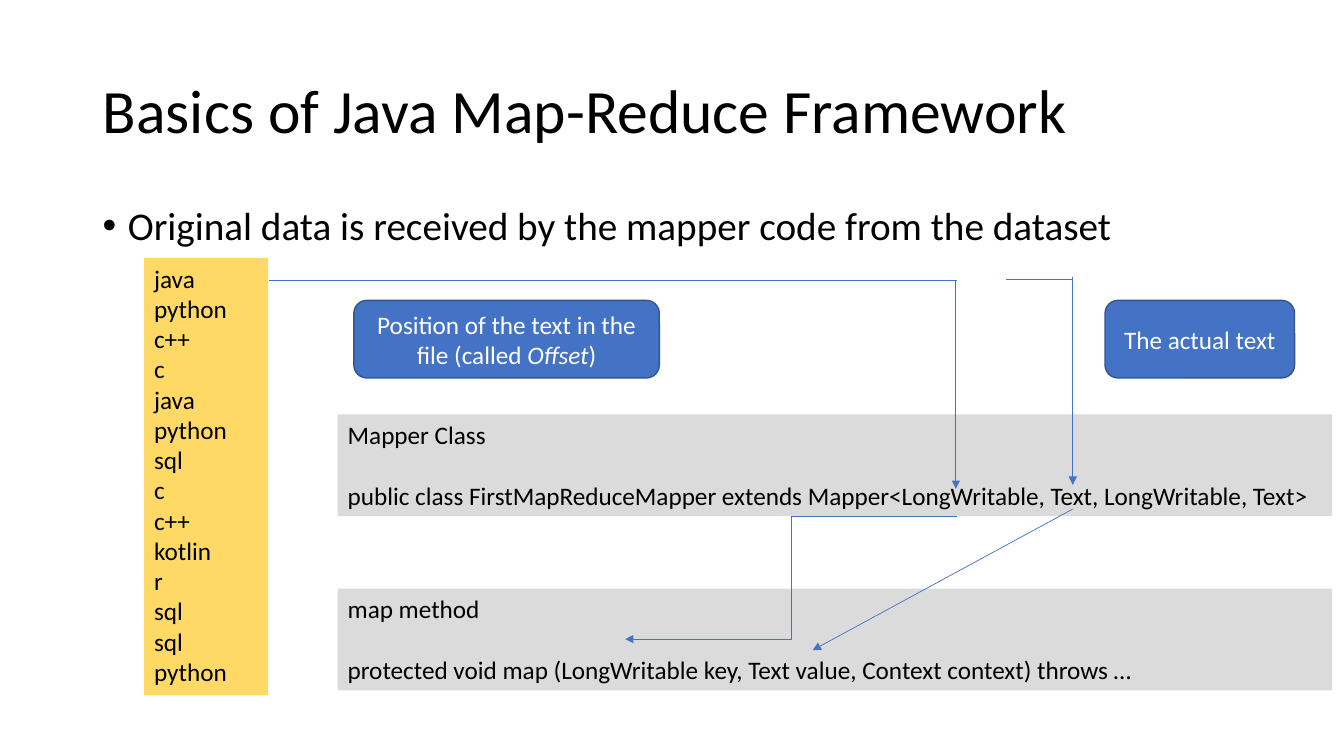
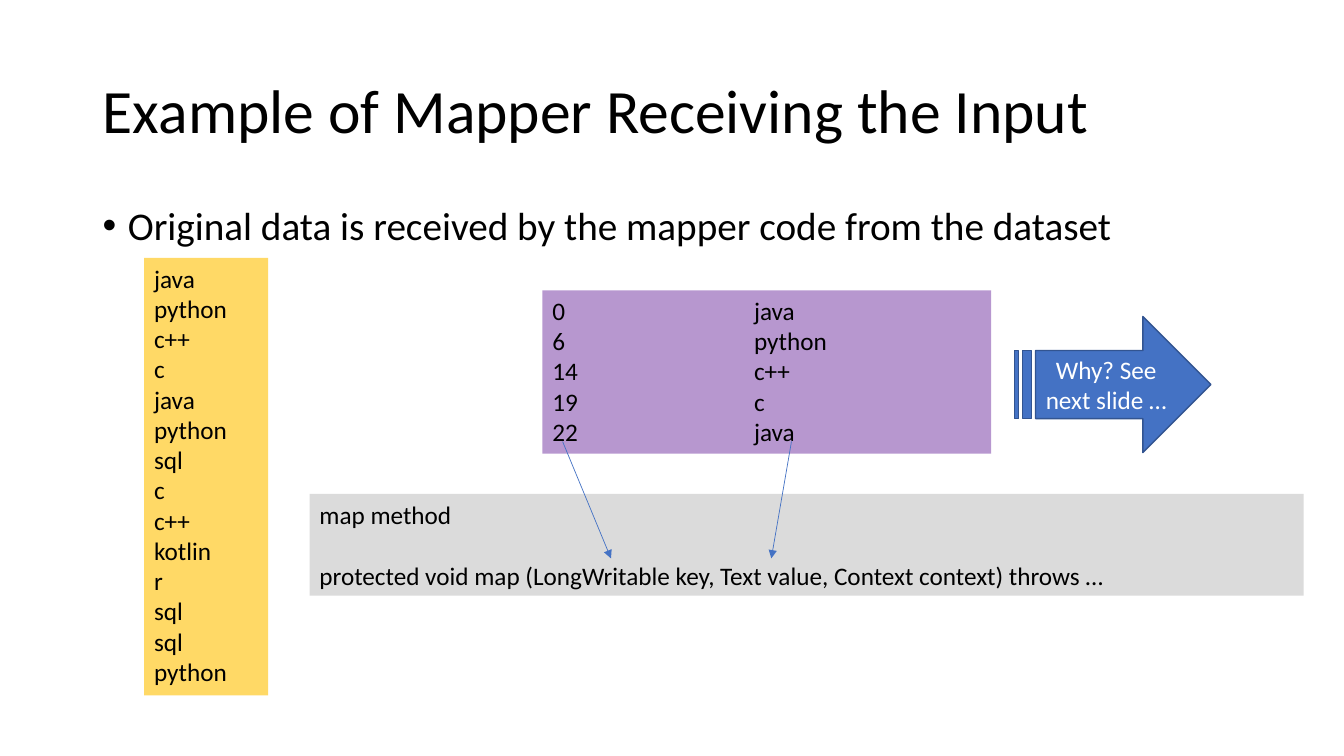
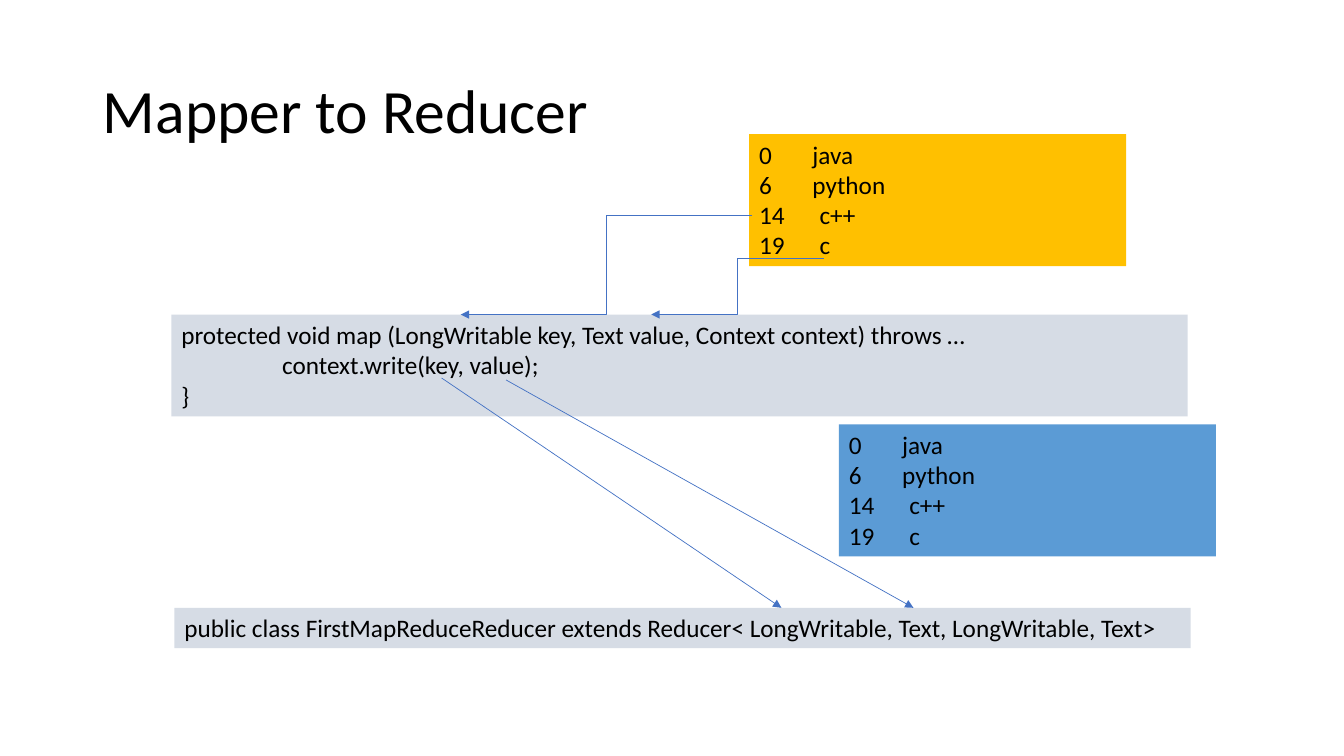
"""Build three slides on how map-reduce passes keys and values."""
from lxml import etree
from pptx import Presentation
from pptx import util as u
from pptx.dml.color import RGBColor
from pptx.enum import shapes, text
from pptx.oxml.ns import qn

COLOURS = {
    "ink": "000000", "paper": "FFFFFF", "accent": "4472C4", "edge": "325491",
    "data": "FFD966", "code": "DBDBDB", "step": "D6DCE5", "pairs": "7030A0",
    "input": "FFC000", "output": "5B9BD5",
}
ANCHOR, ALIGN, FIT = text.MSO_ANCHOR, text.PP_ALIGN, text.MSO_AUTO_SIZE
SHAPE = shapes.MSO_SHAPE
LINE_GAP = u.Pt(22)


def assign(target, values):
    """Set each named value as an attribute of the target."""
    for name, value in values.items():
        setattr(target, name, value)


def colour(name):
    """Return the named colour."""
    return RGBColor.from_string(COLOURS[name])


class Deck:
    """Hold the shared style and the current page."""

    FONT = "Calibri"
    TITLE = {"left": u.Inches(0.92), "top": u.Inches(0.4),
             "width": u.Inches(11.5), "height": u.Inches(1.45)}
    TITLE_FRAME = {"vertical_anchor": ANCHOR.MIDDLE, "auto_size": FIT.NONE, "word_wrap": True}
    PLAIN_FRAME = {"vertical_anchor": ANCHOR.TOP, "auto_size": FIT.NONE, "word_wrap": True}
    GROWING_FRAME = {"vertical_anchor": ANCHOR.TOP, "auto_size": FIT.SHAPE_TO_FIT_TEXT,
                     "word_wrap": True}

    def __init__(self):
        """Start an empty wide deck."""
        self.deck = Presentation()
        assign(self.deck, {"slide_width": u.Inches(13.33), "slide_height": u.Inches(7.5)})
        self.page = None

    def add_page(self, title):
        """Start a page with a title."""
        self.page = self.deck.slides.add_slide(self.deck.slide_layouts[5])
        box = self.page.shapes.title
        assign(box, self.TITLE)
        assign(box.text_frame, self.TITLE_FRAME)
        self.add_rows(box, [title], size=44, line_spacing=0.9)

    def add_rows(self, box, rows, size=18, ink="ink", tabs=None, **layout):
        """Set rows as paragraphs, with starred words in italics."""
        frame = box.text_frame
        for index, row in enumerate(rows):
            para = frame.add_paragraph() if index else frame.paragraphs[0]
            assign(para, {"alignment": ALIGN.LEFT, **layout})
            for part, words in enumerate(row.split("*")):
                span = para.add_run()
                span.text = words
                assign(span.font, {"name": self.FONT, "size": u.Pt(size),
                                   "italic": part % 2 == 1})
                span.font.color.rgb = colour(ink)
            if tabs:
                stops = etree.SubElement(para._p.get_or_add_pPr(), qn("a:tabLst"))
                etree.SubElement(stops, qn("a:tab"), pos=str(tabs(row)), algn="l")
        return frame.paragraphs

    def bullet(self, words):
        """Add the bulleted statement below the title."""
        box = self.page.shapes.add_textbox(*map(u.Inches, (0.92, 2, 11.5, 4.76)))
        assign(box.text_frame, self.PLAIN_FRAME)
        para = self.add_rows(box, [words], size=28, line_spacing=0.9, space_before=u.Pt(10))[0]
        props = para._p.get_or_add_pPr()
        props.set("marL", str(u.Inches(0.25)))
        props.set("indent", str(-u.Inches(0.25)))
        etree.SubElement(props, qn("a:buFont"), typeface="Arial")
        etree.SubElement(props, qn("a:buChar"), char="•")

    def shape(self, kind, place, fill):
        """Add a filled shape without a shadow."""
        box = self.page.shapes.add_shape(kind, *map(u.Inches, place))
        box.shadow.inherit = False
        box.fill.solid()
        box.fill.fore_color.rgb = colour(fill)
        return box

    def panel(self, place, fill, rows, tabs=None, opacity=None):
        """Add a borderless box of left-aligned rows and return its paragraphs."""
        box = self.shape(SHAPE.RECTANGLE, place, fill)
        box.line.fill.background()
        if opacity:
            tint = box._element.spPr.find(".//" + qn("a:srgbClr"))
            etree.SubElement(tint, qn("a:alpha"), val=str(opacity * 1000))
        assign(box.text_frame, self.GROWING_FRAME)
        return self.add_rows(box, rows, tabs=tabs)

    def code(self, left, top, heading, signature):
        """Add a code panel with a heading and a signature set apart."""
        paras = self.panel((left, top, 9.86, 1.01), "code", [heading, signature])
        paras[1].space_before = LINE_GAP

    def callout(self, kind, place, words):
        """Add an outlined accent shape with centred text."""
        box = self.shape(kind, place, "accent")
        box.line.color.rgb = colour("edge")
        box.line.width = u.Pt(1)
        assign(box.text_frame, self.TITLE_FRAME)
        self.add_rows(box, [words], ink="paper", alignment=ALIGN.CENTER)

    def link(self, start, end, arrow=True, bent=False):
        """Draw a thin connector, with an arrowhead at its end if wanted."""
        kind = shapes.MSO_CONNECTOR.ELBOW if bent else shapes.MSO_CONNECTOR.STRAIGHT
        link = self.page.shapes.add_connector(kind, *map(u.Inches, (*start, *end)))
        link.line.color.rgb = colour("accent")
        link.line.width = u.Pt(0.5)
        props = link._element.spPr
        if arrow:
            etree.SubElement(props.find(qn("a:ln")), qn("a:tailEnd"), type="triangle")
        etree.SubElement(props, qn("a:effectLst"))


LANGUAGES = "java python c++ c java python sql c c++ kotlin r sql sql python".split()
OFFSETS = [0, 6, 14, 19, 22]
PAIRS = [f"{offset}\t{name}" for offset, name in zip(OFFSETS, LANGUAGES)]
MAP_CALL = "protected void map (LongWritable key, Text value, Context context) throws …"


def pair_stop(row):
    """Place the tab stop a little further right for longer offsets."""
    return u.Inches(0.46 + 0.07 * row.index("\t"))


def dataset(deck):
    """Add the statement and the list of languages."""
    deck.bullet("Original data is received by the mapper code from the dataset")
    deck.panel((1.43, 2.56, 1.23, 4.34), "data", LANGUAGES)


def framework(deck):
    """Show where the mapper's key and value types come from."""
    deck.add_page("Basics of Java Map-Reduce Framework")
    dataset(deck)
    deck.code(3.35, 4.11, "Mapper Class",
              "public class FirstMapReduceMapper extends "
              "Mapper<LongWritable, Text, LongWritable, Text>")
    deck.code(3.35, 5.84, "map method", MAP_CALL)
    deck.link((2.67, 2.78), (9.49, 2.78), arrow=False)
    deck.link((9.48, 2.78), (9.48, 4.85))
    deck.callout(SHAPE.ROUNDED_RECTANGLE, (3.51, 2.98, 3.03, 0.77),
                 "Position of the text in the file (called *Offset*)")
    deck.link((10.64, 2.75), (10.64, 4.81))
    deck.link((9.98, 2.77), (10.64, 2.77), arrow=False)
    deck.callout(SHAPE.ROUNDED_RECTANGLE, (10.96, 2.98, 1.88, 0.77), "The actual text")
    deck.link((9.49, 5.12), (6.2, 6.34), bent=True)
    deck.link((10.64, 5.05), (8.06, 6.45))


def mapper_input(deck):
    """Show the pairs that the map method receives."""
    deck.add_page("Example of Mapper Receiving the Input")
    dataset(deck)
    deck.code(3.07, 4.9, "map method", MAP_CALL)
    deck.panel((5.38, 2.88, 4.45, 1.62), "pairs", PAIRS,
               tabs=lambda row: u.Inches(2), opacity=50)
    deck.link((5.58, 4.38), (6.06, 5.54))
    deck.link((7.85, 4.38), (7.65, 5.54))
    deck.callout(SHAPE.STRIPED_RIGHT_ARROW, (10.06, 3.14, 1.95, 1.35),
                 "Why? See next slide …")


def reducer(deck):
    """Show how written pairs reach the reducer."""
    deck.add_page("Mapper to Reducer")
    paras = deck.panel((1.7, 3.12, 10.08, 1.01), "step",
                       [MAP_CALL, "context.write(key, value);", "}"])
    paras[1]._p.get_or_add_pPr().set("marL", str(u.Inches(1)))
    deck.panel((1.73, 6.03, 10.08, 0.4), "step",
               ["public class FirstMapReduceReducer extends "
                "Reducer< LongWritable, Text, LongWritable, Text>"])
    deck.panel((7.43, 1.33, 3.74, 1.31), "input", PAIRS[:4], tabs=pair_stop)
    deck.link((7.46, 2.14), (4.57, 3.12), bent=True)
    deck.link((8.17, 2.56), (6.46, 3.12), bent=True)
    deck.link((4.38, 3.75), (7.75, 6.03))
    deck.link((5.02, 3.77), (9.06, 6.03))
    deck.panel((8.32, 4.21, 3.74, 1.31), "output", PAIRS[:4], tabs=pair_stop)


show = Deck()
for build in (framework, mapper_input, reducer):
    build(show)
show.deck.save("out.pptx")
